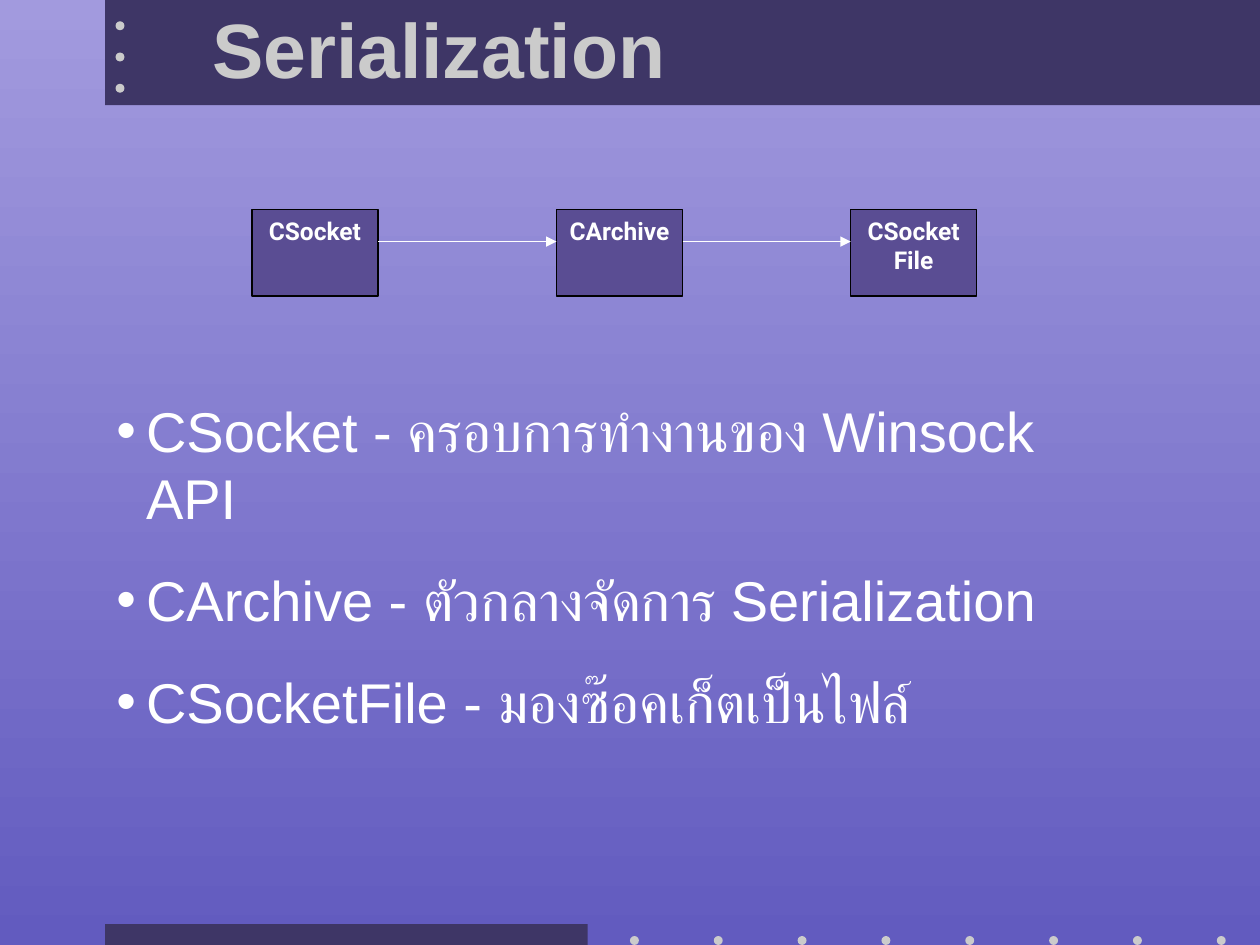
from lxml import etree
from pptx import Presentation
from pptx import util as u
from pptx.dml.color import RGBColor
from pptx.enum import shapes, text
from pptx.oxml import ns

BAND, DOT, BOX, WHITE, BLACK = "3E3666", "CBCBCB", "5A4D93", "FFFFFF", "000000"
TITLE_FONT = dict(name="Arial", size=u.Pt(44), bold=True)
BODY_FONT = dict(name="Arial", size=u.Pt(32), bold=False)
BOX_FONT = dict(name="Roboto", size=u.Pt(14), bold=True)


def color(hex_string):
    return RGBColor.from_string(hex_string)


def set_values(target, values):
    for name, value in values.items():
        setattr(target, name, value)


def place(shape, *lengths):
    for name, length in zip(("left", "top", "width", "height"), lengths):
        setattr(shape, name, u.Cm(length))


def sub(parent, tag, **attributes):
    return etree.SubElement(parent, ns.qn(tag), **attributes)


class SlideBuilder:
    def __init__(self, slide):
        self.slide = slide

    def background(self, top, bottom):
        fill = self.slide.background.fill
        fill.gradient()
        fill.gradient_angle = 270
        for stop, shade in zip(fill.gradient_stops, (top, bottom)):
            stop.color.rgb = color(shade)

    def filled(self, kind, fill, left, top, width, height, parent=None):
        owner = parent or self.slide
        shape = owner.shapes.add_shape(kind, *map(u.Cm, (left, top, width, height)))
        shape.shadow.inherit = False
        shape.fill.solid()
        shape.fill.fore_color.rgb = color(fill)
        shape.line.fill.background()
        return shape

    def band(self, *bounds):
        self.filled(shapes.MSO_SHAPE.RECTANGLE, BAND, *bounds)

    def dot(self, left, top, parent=None):
        self.filled(shapes.MSO_SHAPE.OVAL, DOT, left, top, 0.18, 0.18, parent)

    def set_words(self, paragraph, words, font, shade, align):
        paragraph.text = words
        paragraph.alignment = align
        set_values(paragraph.font, font)
        paragraph.font.color.rgb = color(shade)

    def class_box(self, name, *bounds):
        box = self.filled(shapes.MSO_SHAPE.RECTANGLE, BOX, *bounds)
        box.line.color.rgb = color(BLACK)
        box.line.width = u.Pt(0.75)
        set_values(box.text_frame, dict(word_wrap=True, vertical_anchor=text.MSO_ANCHOR.TOP))
        self.set_words(box.text_frame.paragraphs[0], name, BOX_FONT, WHITE,
                       text.PP_ALIGN.CENTER)

    def arrow(self, start, end, y):
        arrow = self.slide.shapes.add_connector(
            shapes.MSO_CONNECTOR.STRAIGHT, *map(u.Cm, (start, y, end, y)))
        arrow.line.color.rgb = color(WHITE)
        arrow.line.width = u.Pt(1)
        properties = arrow.element.spPr
        sub(properties.find(ns.qn("a:ln")), "a:tailEnd", type="triangle")
        sub(properties, "a:effectLst")

    def placeholder(self, index, *bounds):
        """Move a placeholder to the front and to its place."""
        holder = self.slide.placeholders[index]
        holder.element.getparent().append(holder.element)
        place(holder, *bounds)
        set_values(holder.text_frame, dict(
            word_wrap=True, auto_size=text.MSO_AUTO_SIZE.NONE,
            vertical_anchor=text.MSO_ANCHOR.MIDDLE))
        return holder.text_frame

    def title(self, words, *bounds):
        frame = self.placeholder(0, *bounds)
        self.set_words(frame.paragraphs[0], words, TITLE_FONT, DOT, text.PP_ALIGN.LEFT)

    def bullets(self, lines, *bounds):
        frame = self.placeholder(1, *bounds)
        for number, line in enumerate(lines):
            paragraph = frame.add_paragraph() if number else frame.paragraphs[0]
            paragraph.space_before = u.Pt(20 if number else 0)
            properties = paragraph._p.get_or_add_pPr()
            indent = u.Cm(0.6)
            properties.set("marL", str(indent))
            properties.set("indent", str(-indent))
            sub(sub(properties, "a:buClr"), "a:srgbClr", val=WHITE)
            sub(properties, "a:buFont", typeface="Arial")
            sub(properties, "a:buChar", char="•")
            self.set_words(paragraph, line, BODY_FONT, WHITE, text.PP_ALIGN.LEFT)


def main():
    deck = Presentation()
    set_values(deck, dict(slide_width=u.Cm(25.4), slide_height=u.Cm(19.05)))
    page = SlideBuilder(deck.slides.add_slide(deck.slide_layouts[1]))
    page.background("A29ADE", "625BBF")

    page.band(2.12, 18.63, 9.73, 0.42)
    footer_dots = page.slide.shapes.add_group_shape()
    for step in range(8):
        page.dot(12.7 + 1.69 * step, 18.87, footer_dots)
    page.band(2.12, 0, 23.28, 2.12)
    for step in range(3):
        page.dot(2.33, 0.43 + 0.63 * step)
    page.title("Serialization", 4.02, -0.63, 17.15, 3.17)

    box_width = 2.54
    class_lefts = {"CSocket": 5.08, "CArchive": 11.22, "CSocketFile": 17.15}
    for name, left in class_lefts.items():
        page.class_box(name, left, 4.23, box_width, 1.74)
    lefts = list(class_lefts.values())
    for source, target in zip(lefts, lefts[1:]):
        page.arrow(source + box_width, target, 4.87)

    page.bullets([
        "CSocket - ครอบการทำงานของ Winsock API",
        "CArchive - ตัวกลางจัดการ Serialization",
        "CSocketFile - มองซ๊อคเก็ตเป็นไฟล์",
    ], 2.09, 7.9, 20.95, 7)
    deck.save("out.pptx")


if __name__ == "__main__":
    main()
